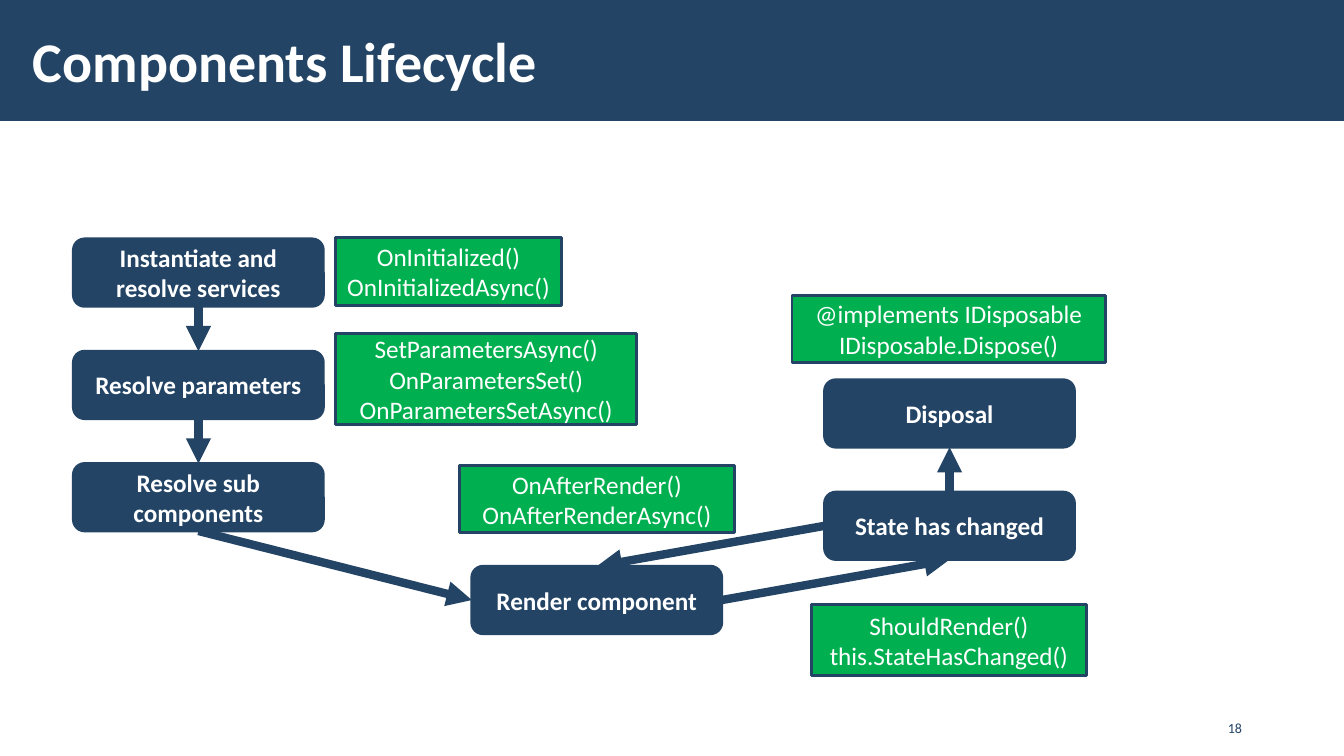
"""Build the Components Lifecycle slide."""
from dataclasses import dataclass
from enum import IntEnum

from pptx import Presentation
from pptx import util as u
from pptx.dml.color import RGBColor
from pptx.enum import shapes, text
from pptx.oxml.ns import qn
from lxml import etree

COLORS = {"navy": "234465", "green": "00B050", "white": "FFFFFF"}
STEP_WIDTH, STEP_HEIGHT = 6.3, 1.7
FIRST_TOP, STEP_PITCH, COLUMN_LEFT = 6.02, 2.83, 1.85
STATE_LEFT, STATE_TOP = 20.78, 12.4
TAG_LEFT = 8.46


class Side(IntEnum):
    TOP = 0
    LEFT = 1
    BOTTOM = 2
    RIGHT = 3


@dataclass(frozen=True)
class Box:
    left: float
    top: float
    width: float
    height: float

    def lengths(self) -> list:
        return [u.Cm(value) for value in (self.left, self.top, self.width, self.height)]


@dataclass(frozen=True)
class Step:
    label: str
    left: float
    top: float


@dataclass(frozen=True)
class Tag:
    lines: tuple[str, ...]
    box: Box


@dataclass(frozen=True)
class Link:
    start: str
    start_side: Side
    end: str
    end_side: Side


STEPS = {
    "services": Step("Instantiate and resolve services", COLUMN_LEFT, FIRST_TOP),
    "parameters": Step("Resolve parameters", COLUMN_LEFT, FIRST_TOP + STEP_PITCH),
    "children": Step("Resolve sub components", COLUMN_LEFT, FIRST_TOP + 2 * STEP_PITCH),
    "render": Step("Render component", 11.89, 14.27),
    "state": Step("State has changed", STATE_LEFT, STATE_TOP),
    "disposal": Step("Disposal", STATE_LEFT, STATE_TOP - STEP_PITCH),
}
TAGS = [
    Tag(("OnInitialized()", "OnInitializedAsync()"), Box(TAG_LEFT, 5.99, 5.69, 1.7)),
    Tag(("SetParametersAsync()", "OnParametersSet()", "OnParametersSetAsync()"),
        Box(TAG_LEFT, 8.41, 7.59, 2.29)),
    Tag(("OnAfterRender()", "OnAfterRenderAsync()"), Box(11.58, 11.73, 6.93, 1.7)),
    Tag(("@implements IDisposable", "IDisposable.Dispose()"), Box(19.96, 7.44, 7.9, 1.7)),
    Tag(("ShouldRender()", "this.StateHasChanged()"), Box(20.45, 15.24, 6.93, 1.78)),
]
LINKS = [
    Link("services", Side.BOTTOM, "parameters", Side.TOP),
    Link("parameters", Side.BOTTOM, "children", Side.TOP),
    Link("children", Side.BOTTOM, "render", Side.LEFT),
    Link("render", Side.RIGHT, "state", Side.BOTTOM),
    Link("state", Side.TOP, "disposal", Side.BOTTOM),
    Link("state", Side.LEFT, "render", Side.TOP),
]


def color(name: str) -> RGBColor:
    return RGBColor.from_string(COLORS[name])


def apply(target, formats: dict) -> None:
    for name, value in formats.items():
        setattr(target, name, value)


def write(shape, lines: tuple[str, ...], size: int, ink: str, bold: bool = False,
          alignment=text.PP_ALIGN.CENTER, anchor=text.MSO_ANCHOR.MIDDLE) -> None:
    frame = shape.text_frame
    apply(frame, {"word_wrap": True, "vertical_anchor": anchor})
    frame.text = "\n".join(lines)
    for paragraph in frame.paragraphs:
        paragraph.alignment = alignment
        apply(paragraph.font, {"name": "Calibri", "size": u.Pt(size), "bold": bold})
        paragraph.font.color.rgb = color(ink)


def add_block(slide, kind, box: Box, fill: str):
    shape = slide.shapes.add_shape(kind, *box.lengths())
    shape.shadow.inherit = False
    shape.fill.solid()
    shape.fill.fore_color.rgb = color(fill)
    shape.line.color.rgb = color("navy")
    shape.line.width = u.Pt(2)
    return shape


def add_step(slide, step: Step):
    box = Box(step.left, step.top, STEP_WIDTH, STEP_HEIGHT)
    shape = add_block(slide, shapes.MSO_SHAPE.ROUNDED_RECTANGLE, box, "navy")
    write(shape, (step.label,), 18, "white", bold=True)
    return shape


def add_tag(slide, tag: Tag) -> None:
    shape = add_block(slide, shapes.MSO_SHAPE.RECTANGLE, tag.box, "green")
    write(shape, tag.lines, 18, "white")


def add_link(slide, link: Link, steps: dict) -> None:
    connector = slide.shapes.add_connector(shapes.MSO_CONNECTOR.STRAIGHT, 0, 0, 0, 0)
    connector.begin_connect(steps[link.start], int(link.start_side))
    connector.end_connect(steps[link.end], int(link.end_side))
    connector.line.color.rgb = color("navy")
    connector.line.width = u.Pt(6)
    etree.SubElement(connector.line._get_or_add_ln(), qn("a:tailEnd"), type="triangle")
    etree.SubElement(connector._element.spPr, qn("a:effectLst"))


def add_header(slide) -> None:
    band = add_block(slide, shapes.MSO_SHAPE.RECTANGLE, Box(0, 0, 33.87, 3.05), "navy")
    band.line.fill.background()
    title = slide.shapes.add_textbox(*Box(0.53, 0.28, 27, 2.46).lengths())
    apply(title.text_frame, {"margin_left": u.Cm(0.3), "margin_right": u.Cm(0.3),
                             "margin_top": u.Cm(0.1), "margin_bottom": u.Cm(0.1)})
    write(title, ("Components Lifecycle",), 40, "white", bold=True,
          alignment=text.PP_ALIGN.LEFT)


def add_page_number(slide) -> None:
    number = slide.shapes.add_textbox(*Box(23.93, 17.65, 7.62, 1.02).lengths())
    write(number, ("18",), 10, "navy", alignment=text.PP_ALIGN.RIGHT,
          anchor=text.MSO_ANCHOR.BOTTOM)


def main() -> None:
    presentation = Presentation()
    apply(presentation, {"slide_width": u.Cm(33.87), "slide_height": u.Cm(19.05)})
    slide = presentation.slides.add_slide(presentation.slide_layouts[6])
    add_header(slide)
    steps = {name: add_step(slide, step) for name, step in STEPS.items()}
    for tag in TAGS:
        add_tag(slide, tag)
    for link in LINKS:
        add_link(slide, link, steps)
    add_page_number(slide)
    presentation.save("out.pptx")


if __name__ == "__main__":
    main()
